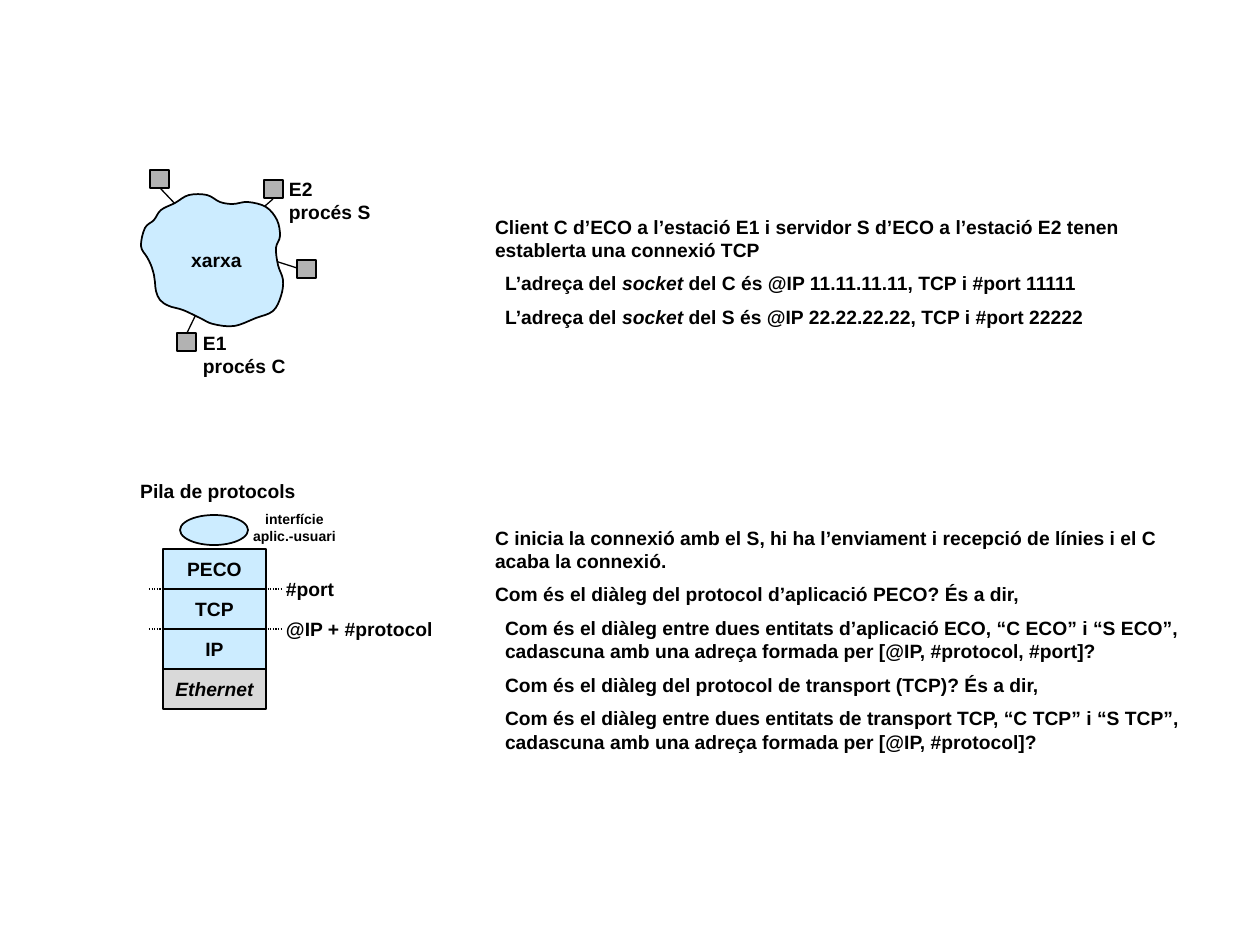
from lxml import etree
from pptx import Presentation
from pptx.dml.color import RGBColor
from pptx.enum.dml import MSO_LINE
from pptx.enum.shapes import MSO_CONNECTOR, MSO_SHAPE
from pptx.enum.text import MSO_ANCHOR, MSO_AUTO_SIZE, PP_ALIGN
from pptx.oxml.ns import qn
from pptx.util import Pt

PX = 914400 / 126
BLACK = RGBColor(0x00, 0x00, 0x00)
SKY = RGBColor(0xCC, 0xEC, 0xFF)
LIGHT_GREY = RGBColor(0xD9, 0xD9, 0xD9)
GREY = RGBColor(0xB2, 0xB2, 0xB2)

# A paragraph is (indent, runs); every second run is italic.
CONNECTION = [
    (0, ["Client C d’ECO a l’estació E1 i servidor S d’ECO a l’estació E2 tenen "
         "establerta una connexió TCP"]),
    (10, ["L’adreça del ", "socket", " del C és @IP 11.11.11.11, TCP i #port 11111"]),
    (10, ["L’adreça del ", "socket", " del S és @IP 22.22.22.22, TCP i #port 22222"]),
]
DIALOGUE = [
    (0, ["C inicia la connexió amb el S, hi ha l’enviament i recepció de línies "
         "i el C acaba la connexió."]),
    (0, ["Com és el diàleg del protocol d’aplicació PECO? És a dir,"]),
    (10, ["Com és el diàleg entre dues entitats d’aplicació ECO, “C ECO” i “S ECO”, "
          "cadascuna amb una adreça formada per [@IP, #protocol, #port]?"]),
    (10, ["Com és el diàleg del protocol de transport (TCP)? És a dir,"]),
    (10, ["Com és el diàleg entre dues entitats de transport TCP, “C TCP” i “S TCP”, "
          "cadascuna amb una adreça formada per [@IP, #protocol]?"]),
]
LAYERS = [("PECO", SKY), ("TCP", SKY), ("IP", SKY), ("Ethernet", LIGHT_GREY)]
LAYER_X, LAYER_Y, LAYER_W, LAYER_H = 163, 549, 103, 40
ADDRESSES = ["#port", "@IP + #protocol"]  # at the borders below PECO and TCP

# Station corner, then the two ends of its link.
STATIONS = [
    ((150, 170), (160, 188), (217, 248)),
    ((264, 180), (273, 199), (217, 248)),
    ((177, 333), (187, 333), (217, 271)),
    ((297, 260), (297, 268), (272, 260)),
]
CLOUD = [
    (154, 275), (151, 265), (147, 257), (141, 246), (145, 228), (154, 220),
    (161, 210), (175, 203), (189, 195), (207, 195), (220, 202), (233, 204),
    (248, 202), (266, 207), (277, 220), (280, 236), (276, 248), (278, 265),
    (283, 280), (281, 296), (273, 311), (256, 318), (234, 326), (213, 324),
    (200, 318), (183, 310), (169, 306), (160, 300), (156, 291), (155, 282),
]
# Text, left, top, width, height, alignment, size.
LABELS = [
    (["Pila de protocols"], 128, 479, 180, 24, PP_ALIGN.CENTER, 11),
    (["xarxa"], 160, 248, 113, 24, PP_ALIGN.CENTER, 11),
    (["interfície aplic.-usuari"], 244, 511, 101, 34, PP_ALIGN.CENTER, 8),
    (["E1", "procés C"], 203, 331, 105, 46, PP_ALIGN.LEFT, 11),
    (["E2", "procés S"], 289, 177, 103, 46, PP_ALIGN.LEFT, 11),
]


def emu(*lengths):
    """Turn pixels into EMU."""
    return [round(length * PX) for length in lengths]


def write(frame, paragraphs, align, size=11, after=0, inset=0):
    """Fill a text frame with (indent, runs) paragraphs."""
    frame.word_wrap = True
    frame.margin_left = frame.margin_right = frame.margin_top = frame.margin_bottom = emu(inset)[0]
    for number, (indent, runs) in enumerate(paragraphs):
        paragraph = frame.add_paragraph() if number else frame.paragraphs[0]
        paragraph.alignment = align
        paragraph.space_after = Pt(after)
        if indent:
            properties = paragraph._p.get_or_add_pPr()
            properties.set("marL", str(emu(indent)[0]))
            properties.set("indent", "0")
        for index, text in enumerate(runs):
            run = paragraph.add_run()
            run.text = text
            font = run.font
            font.name, font.size, font.bold = "Arial", Pt(size), True
            font.italic = index % 2 == 1 or text == "Ethernet"
            font.color.rgb = BLACK


def add_text(shapes, box, paragraphs, align=PP_ALIGN.LEFT, size=11, after=0):
    """Add a text box without margins."""
    frame = shapes.add_textbox(*emu(*box)).text_frame
    write(frame, paragraphs, align, size, after)
    frame.auto_size = MSO_AUTO_SIZE.SHAPE_TO_FIT_TEXT


def paint(shape, fill, width=1):
    """Give a shape its fill and black outline."""
    shape.shadow.inherit = False
    shape.fill.solid()
    shape.fill.fore_color.rgb = fill
    shape.line.color.rgb = BLACK
    shape.line.width = Pt(width)
    return shape


def add_line(shapes, start, end, dash=None):
    """Add a thin black line."""
    line = shapes.add_connector(MSO_CONNECTOR.STRAIGHT, *emu(*start, *end))
    line.line.color.rgb = BLACK
    line.line.width = Pt(0.75)
    if dash:
        line.line.dash_style = dash
    etree.SubElement(line._element.spPr, qn("a:effectLst"))


def add_cloud(shapes):
    """Draw a closed smooth outline, one Bezier curve per pair of points."""
    builder = shapes.build_freeform(*emu(*CLOUD[0]))
    builder.add_line_segments([emu(*point) for point in CLOUD[1:] + CLOUD[:1]], close=True)
    cloud = paint(builder.convert_to_shape(), SKY)
    left, top = (min(axis) for axis in zip(*CLOUD))
    count = len(CLOUD)
    segments = list(cloud._element.iter(qn("a:lnTo")))
    for i, segment in enumerate(segments[:count]):
        a, b, c, d = (CLOUD[(i + k) % count] for k in (-1, 0, 1, 2))
        leaving = [q + (r - p) / 6 for p, q, r in zip(a, b, c)]
        arriving = [r - (s - q) / 6 for q, r, s in zip(b, c, d)]
        segment.clear()
        segment.tag = qn("a:cubicBezTo")
        for x, y in (leaving, arriving, c):
            x, y = emu(x - left, y - top)
            etree.SubElement(segment, qn("a:pt"), x=str(x), y=str(y))


def add_network(shapes):
    """Draw the stations, their links and the network cloud."""
    for corner, start, end in STATIONS:
        paint(shapes.add_shape(MSO_SHAPE.RECTANGLE, *emu(*corner, 19, 18)), GREY, 0.75)
        add_line(shapes, start, end)
    add_cloud(shapes)


def add_stack(shapes):
    """Draw the protocol stack with its interface and addresses."""
    for level, (name, fill) in enumerate(LAYERS):
        box = emu(LAYER_X, LAYER_Y + level * LAYER_H, LAYER_W, LAYER_H)
        layer = paint(shapes.add_shape(MSO_SHAPE.RECTANGLE, *box), fill)
        write(layer.text_frame, [(0, [name])], PP_ALIGN.CENTER, inset=7)
        layer.text_frame.vertical_anchor = MSO_ANCHOR.MIDDLE
    for level, address in enumerate(ADDRESSES, 1):
        y = LAYER_Y + level * LAYER_H
        add_line(shapes, (149, y), (281, y), MSO_LINE.ROUND_DOT)
        add_text(shapes, (286, y - 12, 168, 24), [(0, [address])])
    paint(shapes.add_shape(MSO_SHAPE.OVAL, *emu(180, 515, 68, 30)), SKY)


def main():
    """Build and save the slide."""
    deck = Presentation()
    deck.slide_width, deck.slide_height = emu(1260, 945)
    shapes = deck.slides.add_slide(deck.slide_layouts[6]).shapes
    add_stack(shapes)
    add_network(shapes)
    for lines, *box, align, size in LABELS:
        add_text(shapes, box, [(0, [line]) for line in lines], align, size)
    add_text(shapes, (495, 215, 688, 115), CONNECTION, after=6)
    add_text(shapes, (495, 526, 688, 229), DIALOGUE, after=6)
    deck.save("out.pptx")


main()
